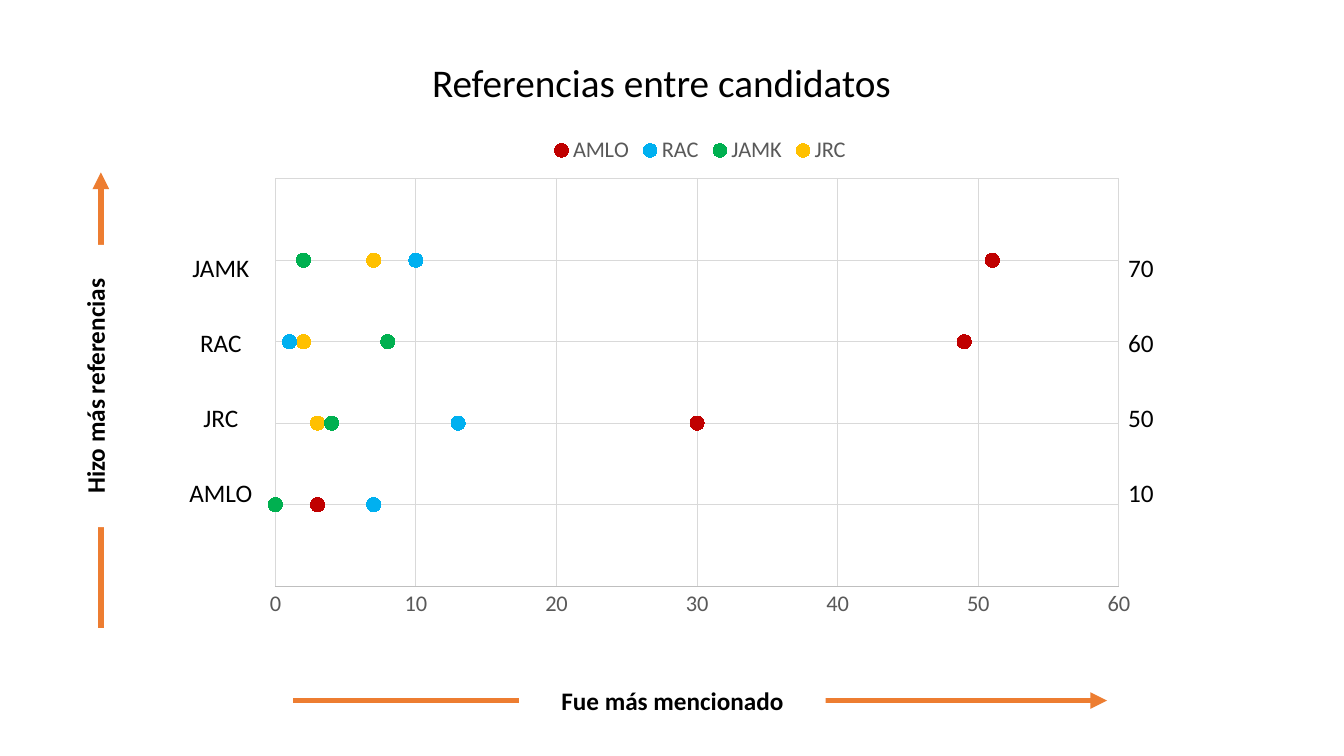
"""Build a slide with a dot chart of how often the candidates mention each other."""
import dataclasses

import lxml.etree
import pptx
import pptx.chart.data
import pptx.dml.color
import pptx.enum.chart
import pptx.enum.shapes
import pptx.enum.text
import pptx.oxml.ns
import pptx.util

Inches = pptx.util.Inches
Pt = pptx.util.Pt
RGB = pptx.dml.color.RGBColor.from_string
qn = pptx.oxml.ns.qn
CENTER = pptx.enum.text.PP_ALIGN.CENTER
MIDDLE = pptx.enum.text.MSO_ANCHOR.MIDDLE


@dataclasses.dataclass(frozen=True)
class Theme:
    font: str = "Calibri"
    text: str = "000000"
    muted: str = "595959"
    axis: str = "BFBFBF"
    grid: str = "D9D9D9"
    arrow: str = "ED7D31"
    paper: str = "FFFFFF"
    candidates: tuple = ("C00000", "00B0F0", "00B050", "FFC000")
    title_size: int = 28
    label_size: int = 18
    chart_size: int = 16


theme = Theme()


def style_font(font, size, color, bold=False):
    font.name = theme.font
    font.size = Pt(size)
    font.bold = bold
    font.color.rgb = RGB(color)


deck = pptx.Presentation()
deck.slide_width = Inches(13.33)
deck.slide_height = Inches(7.5)
page = deck.slides.add_slide(deck.slide_layouts[5])

title = page.shapes.title
title.left, title.top = Inches(1.14), Inches(0.53)
title.width, title.height = Inches(10.84), Inches(0.57)
title.text_frame.text = "Referencias entre candidatos"
title.text_frame.vertical_anchor = MIDDLE
title.text_frame.auto_size = pptx.enum.text.MSO_AUTO_SIZE.SHAPE_TO_FIT_TEXT
title.text_frame.paragraphs[0].alignment = CENTER
style_font(title.text_frame.paragraphs[0].font, theme.title_size, theme.text)

arrows = [
    ((1, 6.23), (1, 1.71)),
    ((2.91, 6.95), (10.98, 6.95)),
]
for start, end in arrows:
    arrow = page.shapes.add_connector(
        pptx.enum.shapes.MSO_CONNECTOR.STRAIGHT,
        *[Inches(length) for length in start + end])
    arrow.line.color.rgb = RGB(theme.arrow)
    arrow.line.width = Pt(4)
    properties = arrow._element.spPr
    lxml.etree.SubElement(properties.find(qn("a:ln")), qn("a:tailEnd"), type="triangle")
    lxml.etree.SubElement(properties, qn("a:effectLst"))

heights = [100, 75, 50, 25]
mentions = {
    "AMLO": [51, 49, 30, 3],
    "RAC": [10, 1, 13, 7],
    "JAMK": [2, 8, 4, 0],
    "JRC": [7, 2, 3, 0],
}
data = pptx.chart.data.XyChartData()
for candidate in mentions:
    points = data.add_series(candidate)
    for mentioned, counts in mentions.items():
        for count, height in zip(counts, heights):
            points.add_data_point(count, height if mentioned == candidate else None)

chart = page.shapes.add_chart(
    pptx.enum.chart.XL_CHART_TYPE.XY_SCATTER,
    Inches(2.5), Inches(1.24), Inches(8.89), Inches(4.99), data).chart
for point in list(chart._chartSpace.iter(qn("c:pt"))):
    if point.findtext(qn("c:v")) in ("None", "", None):
        point.getparent().remove(point)
chart.has_title = False
style_font(chart.font, theme.chart_size, theme.muted)
chart.has_legend = True
chart.legend.position = pptx.enum.chart.XL_LEGEND_POSITION.TOP
chart.legend.include_in_layout = False
style_font(chart.legend.font, theme.chart_size, theme.muted)

for axis, maximum, step in [(chart.category_axis, 60, 10), (chart.value_axis, 125, 25)]:
    axis.minimum_scale = 0
    axis.maximum_scale = maximum
    axis.major_unit = step
    axis.has_major_gridlines = True
    axis.major_gridlines.format.line.color.rgb = RGB(theme.grid)
    axis.major_gridlines.format.line.width = Pt(0.75)
    axis.major_tick_mark = pptx.enum.chart.XL_TICK_MARK.NONE
    axis.format.line.color.rgb = RGB(theme.axis)
    axis.format.line.width = Pt(0.75)
    style_font(axis.tick_labels.font, theme.chart_size, theme.muted)
chart.value_axis.visible = False

for series, color in zip(chart.plots[0].series, theme.candidates):
    series.format.line.fill.background()
    series.marker.style = pptx.enum.chart.XL_MARKER_STYLE.CIRCLE
    series.marker.size = 10
    series.marker.format.fill.solid()
    series.marker.format.fill.fore_color.rgb = RGB(color)
    series.marker.format.line.color.rgb = RGB(color)

plot_area = chart._chartSpace.chart.plotArea
for old_layout in plot_area.findall(qn("c:layout")):
    plot_area.remove(old_layout)
layout = lxml.etree.Element(qn("c:layout"))
plot_area.insert(0, layout)
manual = lxml.etree.SubElement(layout, qn("c:manualLayout"))
for tag, value in [("layoutTarget", "inner"), ("xMode", "edge"), ("yMode", "edge"),
                   ("x", "0.026"), ("y", "0.107"), ("w", "0.941"), ("h", "0.81")]:
    lxml.etree.SubElement(manual, qn("c:" + tag), val=value)

axis_names = [
    ("Fue más mencionado", 5.15, 6.75, 3.04, 0),
    ("Hizo más referencias", -0.46, 3.63, 2.8, 270),
]
for name, left, top, width, rotation in axis_names:
    box = page.shapes.add_shape(
        pptx.enum.shapes.MSO_SHAPE.RECTANGLE,
        Inches(left), Inches(top), Inches(width), Inches(0.4))
    box.rotation = rotation
    box.shadow.inherit = False
    box.fill.solid()
    box.fill.fore_color.rgb = RGB(theme.paper)
    box.line.fill.background()
    box.text_frame.word_wrap = True
    box.text_frame.vertical_anchor = pptx.enum.text.MSO_ANCHOR.TOP
    box.text_frame.text = name
    para = box.text_frame.paragraphs[0]
    para.alignment = CENTER
    style_font(para.font, theme.label_size, theme.text, bold=True)

totals = [("JAMK", "70"), ("RAC", "60"), ("JRC", "50"), ("AMLO", "10")]
table = page.shapes.add_table(
    len(totals), 3, Inches(1.62), Inches(2.29), Inches(10.78), Inches(2.98)).table
table.first_row = False
table.horz_banding = False
table._tbl.tblPr.find(qn("a:tableStyleId")).text = "{2D5ABB26-0587-4C30-8999-92F81FD0307C}"
for column, width in zip(table.columns, [1.14, 8.33, 1.31]):
    column.width = Inches(width)
for row, (candidate, total) in zip(table.rows, totals):
    for cell, text in zip(row.cells, [candidate, "", total]):
        cell.fill.background()
        cell.vertical_anchor = MIDDLE
        cell.text = text
        para = cell.text_frame.paragraphs[0]
        style_font(para.font, theme.label_size, theme.text)
    row.cells[0].text_frame.paragraphs[0].alignment = CENTER

deck.save("out.pptx")
